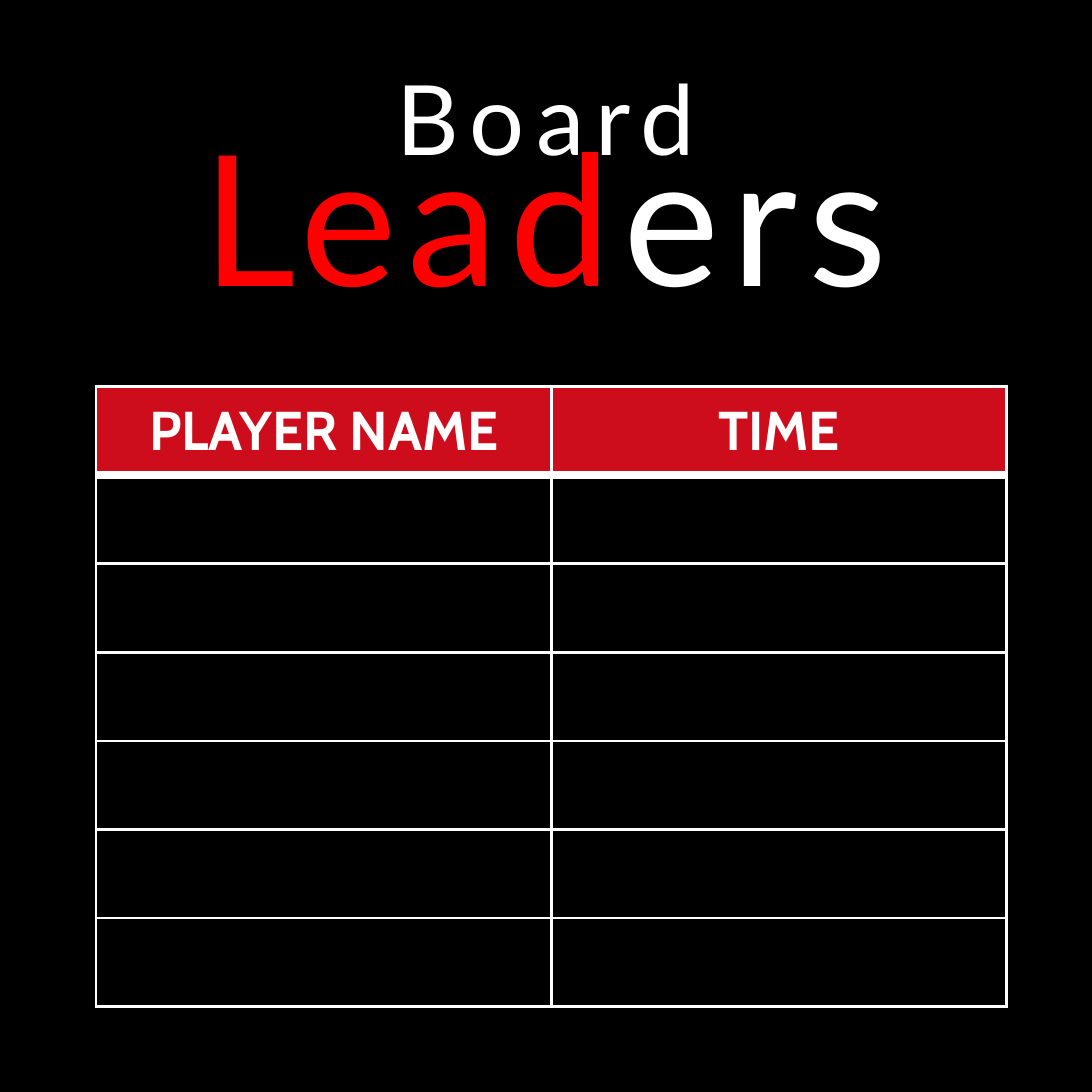
from dataclasses import dataclass

from lxml.etree import SubElement
from pptx import Presentation
from pptx.dml.color import RGBColor as Color
from pptx.enum.text import MSO_ANCHOR as Anchor, MSO_AUTO_SIZE as AutoSize, PP_ALIGN as Align
from pptx.oxml.ns import qn
from pptx.util import Inches, Pt


@dataclass(frozen=True)
class Theme:
    black: str = "000000"
    white: str = "FFFFFF"
    red: str = "FF0000"
    crimson: str = "CD0D1C"
    title_font: str = "Lato"
    table_font: str = "Cabin"
    caption_size: int = 32
    title_size: int = 60
    header_size: int = 18
    letter_spacing: int = 380
    rule: int = 1
    heavy_rule: int = 3


THEME = Theme()
SIDE = Inches(5)
HEADERS = ("PLAYER NAME", "TIME")
PLAYER_ROWS = 6


def share(part):
    return int(SIDE * part)


def apply_format(target, values):
    for name, value in values.items():
        setattr(target, name, value)


def place(box, left, top, width, height):
    spots = {"left": left, "top": top, "width": width, "height": height}
    apply_format(box, {name: share(part) for name, part in spots.items()})


def add_span(para, text, font, size, color, bold=False, spacing=0):
    para.alignment = Align.CENTER
    span = para.add_run()
    span.text = text
    apply_format(span.font, {"name": font, "size": Pt(size), "bold": bold})
    span.font.color.rgb = Color.from_string(color)
    if spacing:
        span._r.get_or_add_rPr().set("spc", str(spacing))


def write_heading(box, spans, size, wrap, inset):
    frame = box.text_frame
    apply_format(frame, {
        "word_wrap": wrap,
        "auto_size": AutoSize.SHAPE_TO_FIT_TEXT,
        "vertical_anchor": Anchor.TOP,
        "margin_left": Inches(2 * inset),
        "margin_right": Inches(2 * inset),
        "margin_top": Inches(inset),
        "margin_bottom": Inches(inset),
    })
    for text, color in spans:
        add_span(frame.paragraphs[0], text, THEME.title_font, size, color,
                 spacing=THEME.letter_spacing)


def add_headings(slide):
    caption = slide.shapes.add_textbox(0, 0, 0, 0)
    place(caption, 0.306, 0.042, 0.388, 0.132)
    write_heading(caption, [("Board", THEME.white)], THEME.caption_size, False, 0.06)
    title = slide.shapes.title
    place(title, 0.076, 0.086, 0.846, 0.222)
    write_heading(title, [("Lead", THEME.red), ("ers", THEME.white)],
                  THEME.title_size, True, 0.05)
    slide.shapes.element.append(title.element)


def draw_borders(cell, widths):
    properties = cell._tc.get_or_add_tcPr()
    for edge, width in widths.items():
        line = SubElement(properties, qn(f"a:ln{edge}"), w=str(Pt(width)))
        fill = SubElement(line, qn("a:solidFill"))
        SubElement(fill, qn("a:srgbClr"), val=THEME.white)


def format_cell(cell, row):
    widths = dict.fromkeys("LRTB", THEME.rule)
    if row == 0:
        widths["B"] = THEME.heavy_rule
    elif row == 1:
        widths["T"] = THEME.heavy_rule
    draw_borders(cell, widths)
    if row == 0:
        cell.fill.solid()
        cell.fill.fore_color.rgb = Color.from_string(THEME.crimson)
    else:
        cell.fill.background()


def add_score_table(slide):
    rows, columns = PLAYER_ROWS + 1, len(HEADERS)
    spot = [share(part) for part in (0.088, 0.354, 0.834, 0.568)]
    table = slide.shapes.add_table(rows, columns, *spot).table
    table.horz_banding = False
    for row in range(rows):
        for column in range(columns):
            format_cell(table.cell(row, column), row)
    for column, header in enumerate(HEADERS):
        add_span(table.cell(0, column).text_frame.paragraphs[0], header,
                 THEME.table_font, THEME.header_size, THEME.white, bold=True)


def main():
    deck = Presentation()
    apply_format(deck, {"slide_width": SIDE, "slide_height": SIDE})
    slide = deck.slides.add_slide(deck.slide_layouts[5])
    slide.background.fill.solid()
    slide.background.fill.fore_color.rgb = Color.from_string(THEME.black)
    add_headings(slide)
    add_score_table(slide)
    deck.save("out.pptx")


if __name__ == "__main__":
    main()
